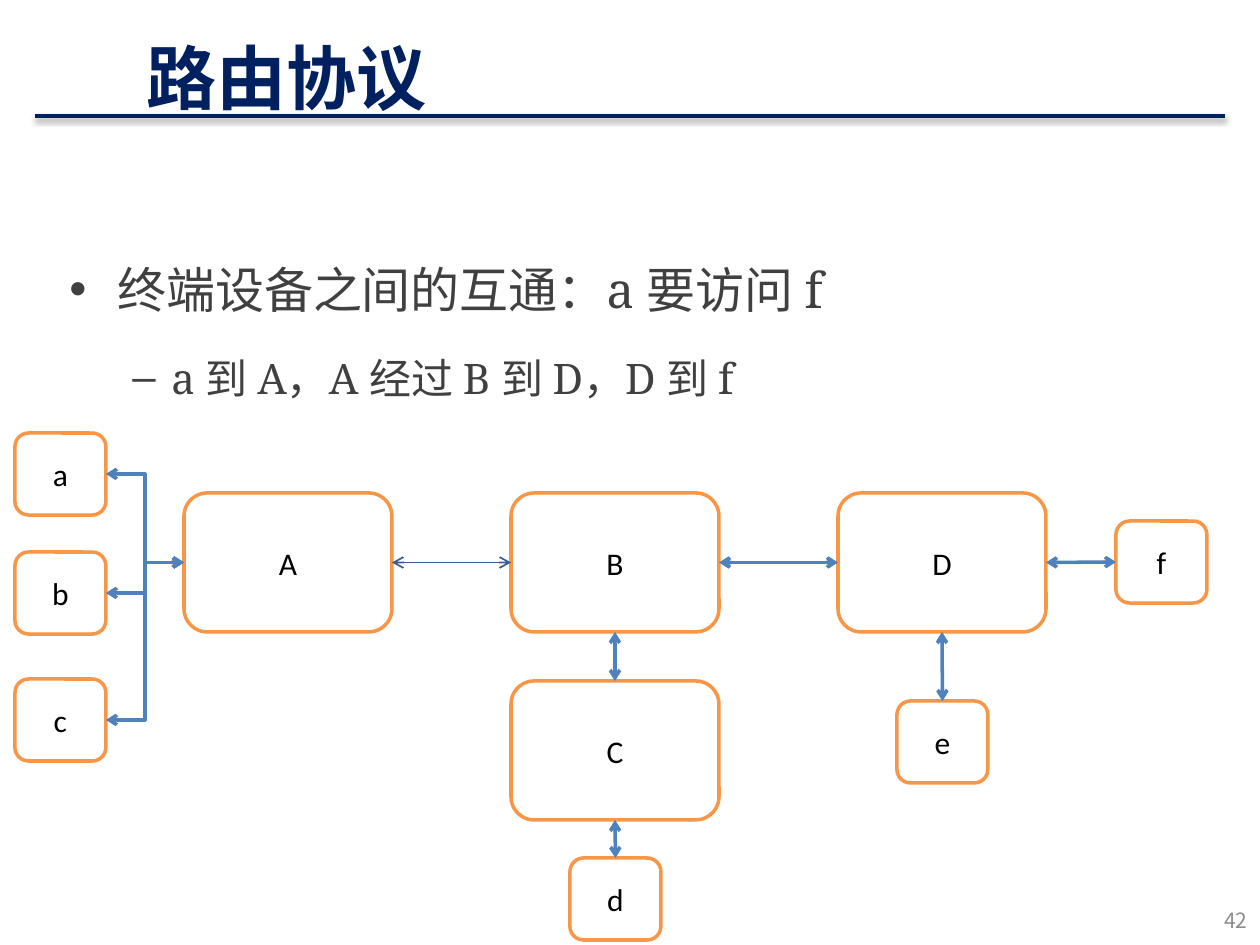
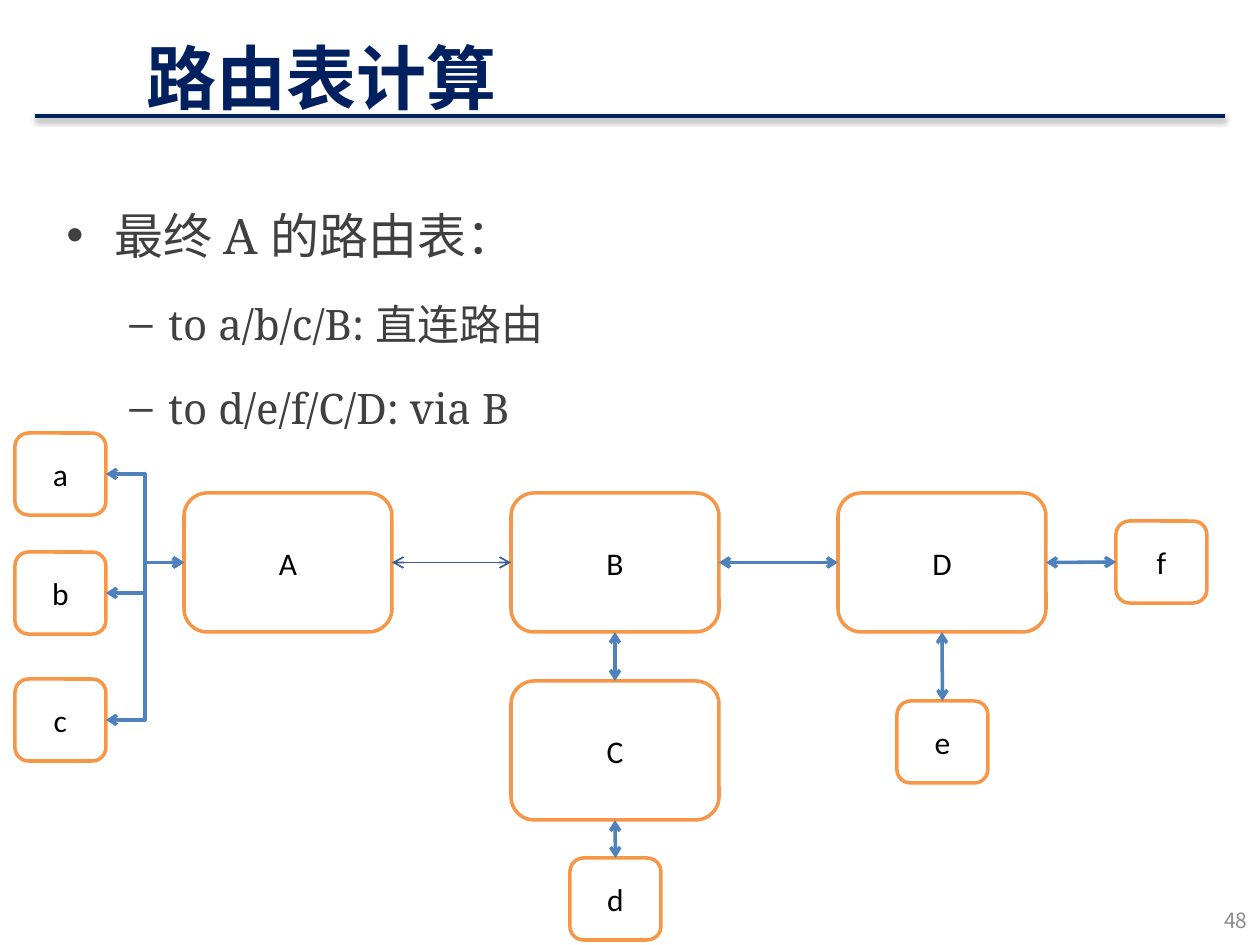
from lxml.etree import SubElement
from pptx import Presentation
from pptx.dml.color import RGBColor
from pptx.enum.shapes import MSO_CONNECTOR, MSO_SHAPE
from pptx.enum.text import MSO_ANCHOR, MSO_AUTO_SIZE, PP_ALIGN
from pptx.oxml.ns import qn
from pptx.util import Emu, Pt

COLORS = {
    "navy": "002060", "body": "404040", "number": "8C8C8C", "black": "000000",
    "white": "FFFFFF", "orange": "F79646", "blue": "4F81BD", "steel": "3A5F8C",
}
CHINESE_FONT = "Noto Sans CJK SC"
LEVELS = [
    {"mark": "•", "margin": 48, "hang": 48, "size": 28},
    {"mark": "–", "margin": 102, "hang": 39, "size": 24},
]
TOP, LEFT, BOTTOM, RIGHT = range(4)
ROUTER_SIZE = (208, 139)
DEVICE_SIZE = (91, 82)
ROUTER_LEFT, ROUTER_TOP, ROUTER_STEP = 184, 493, 327
ROUTERS = {
    "A": (ROUTER_LEFT, ROUTER_TOP),
    "B": (ROUTER_LEFT + ROUTER_STEP, ROUTER_TOP),
    "C": (ROUTER_LEFT + ROUTER_STEP, 681),
    "D": (ROUTER_LEFT + 2 * ROUTER_STEP, ROUTER_TOP),
}
DEVICES = {
    "a": (15, 433), "b": (15, 552), "c": (15, 679),
    "d": (570, 858), "e": (897, 701), "f": (1116, 521),
}
LINKS = [
    ("B", BOTTOM, "C", TOP), ("B", RIGHT, "D", LEFT), ("C", BOTTOM, "d", TOP),
    ("D", BOTTOM, "e", TOP), ("D", RIGHT, "f", LEFT),
]
SLIDES = [
    ("路由协议", "42", (57, 224), [
        (0, "终端设备之间的互通：a 要访问 f"),
        (1, "a 到 A，A 经过 B 到 D，D 到 f"),
    ]),
    ("路由表计算", "48", (54, 170), [
        (0, "最终 A 的路由表："),
        (1, "to a/b/c/B: 直连路由"),
        (1, "to d/e/f/C/D: via B"),
    ]),
]


def px(length):
    """Turn px into EMU at 126 px to the inch."""
    return Emu(round(length * 914400 / 126))


def rgb(name):
    """Look up a named colour."""
    return RGBColor.from_string(COLORS[name])


def write(paragraph, text, font, size, color, bold=False, align=PP_ALIGN.LEFT, spacing=None):
    """Add one formatted run to a paragraph."""
    paragraph.alignment = align
    if spacing:
        paragraph.line_spacing = spacing
    run = paragraph.add_run()
    run.text = text
    run.font.size = Pt(size)
    run.font.bold = bold
    run.font.color.rgb = rgb(color)
    run.font.name = font
    SubElement(run.font._element, qn("a:ea"), typeface=CHINESE_FONT)


class Deck:
    """Hold the shared style and the current slide."""

    def __init__(self):
        """Start an empty presentation."""
        self.presentation = Presentation()
        self.presentation.slide_width = px(1260)
        self.presentation.slide_height = px(945)
        self.slide = None

    def add_slide(self, title, number):
        """Add a slide with its title, rule and number."""
        self.slide = self.presentation.slides.add_slide(self.presentation.slide_layouts[5])
        self.rule()
        self.title(title)
        frame = self.text_box(966, 895, 294, 50, MSO_ANCHOR.MIDDLE)
        write(frame.paragraphs[0], number, font=CHINESE_FONT, size=12, color="number",
              align=PP_ALIGN.RIGHT)

    def title(self, text):
        """Place and fill the title placeholder."""
        shape = self.slide.shapes.title
        shape.left, shape.top, shape.width, shape.height = map(px, (134, 6, 1040, 100))
        frame = shape.text_frame
        frame.word_wrap = True
        frame.auto_size = MSO_AUTO_SIZE.NONE
        frame.vertical_anchor = MSO_ANCHOR.MIDDLE
        write(frame.paragraphs[0], text, font="Comic Neue", size=40, color="navy",
              bold=True, spacing=1.5)

    def text_box(self, left, top, width, height, anchor=MSO_ANCHOR.TOP):
        """Add a wrapping text box and return its frame."""
        shape = self.slide.shapes.add_textbox(*map(px, (left, top, width, height)))
        frame = shape.text_frame
        frame.word_wrap = True
        frame.vertical_anchor = anchor
        return frame

    def line(self, start, end, color, width, kind=MSO_CONNECTOR.STRAIGHT):
        """Add a line and return it with its effect list."""
        connector = self.slide.shapes.add_connector(kind, *map(px, start + end))
        connector.line.color.rgb = rgb(color)
        connector.line.width = Pt(width)
        effects = SubElement(connector.element.spPr, qn("a:effectLst"))
        return connector, effects

    def rule(self):
        """Draw the shadowed rule below the title."""
        effects = self.line((35, 116), (1225, 116), "navy", 2.5)[1]
        shadow = SubElement(effects, qn("a:outerShdw"), blurRad=str(Pt(3.1)),
                            dist=str(Pt(1.8)), dir="5400000", rotWithShape="0")
        color = SubElement(shadow, qn("a:srgbClr"), val=COLORS["black"])
        SubElement(color, qn("a:alpha"), val="35000")

    def bullets(self, left, top, items):
        """Write the two-level bullet list."""
        frame = self.text_box(left, top, 1134, 624)
        for index, (depth, text) in enumerate(items):
            paragraph = frame.add_paragraph() if index else frame.paragraphs[0]
            level = LEVELS[depth]
            paragraph.level = depth
            paragraph.line_spacing = 1.5
            properties = paragraph._p.get_or_add_pPr()
            properties.set("marL", str(px(level["margin"])))
            properties.set("indent", str(-px(level["hang"])))
            if index:
                before = SubElement(properties, qn("a:spcBef"))
                SubElement(before, qn("a:spcPct"), val="20000")
            SubElement(properties, qn("a:buFont"), typeface="Arial")
            SubElement(properties, qn("a:buChar"), char=level["mark"])
            write(paragraph, text, font="Noto Serif", size=level["size"], color="body")

    def node(self, label, position, size):
        """Add a labelled rounded box."""
        shape = self.slide.shapes.add_shape(MSO_SHAPE.ROUNDED_RECTANGLE,
                                            *map(px, position + size))
        shape.shadow.inherit = False
        shape.fill.solid()
        shape.fill.fore_color.rgb = rgb("white")
        shape.line.color.rgb = rgb("orange")
        shape.line.width = Pt(2)
        shape.text_frame.vertical_anchor = MSO_ANCHOR.MIDDLE
        write(shape.text_frame.paragraphs[0], label, font="Calibri", size=18, color="black",
              align=PP_ALIGN.CENTER)
        return shape

    def link(self, first, first_side, second, second_side, color="blue", width=2,
             kind=MSO_CONNECTOR.STRAIGHT):
        """Join two boxes with a double-headed arrow."""
        connector = self.line((0, 0), (0, 0), color, width, kind)[0]
        connector.begin_connect(first, first_side)
        connector.end_connect(second, second_side)
        outline = connector.element.spPr.find(qn("a:ln"))
        for end in ("a:headEnd", "a:tailEnd"):
            SubElement(outline, qn(end), type="arrow")

    def network(self):
        """Draw the routers, the devices and their links."""
        nodes = {name: self.node(name, place, ROUTER_SIZE) for name, place in ROUTERS.items()}
        nodes |= {name: self.node(name, place, DEVICE_SIZE) for name, place in DEVICES.items()}
        self.link(nodes["A"], RIGHT, nodes["B"], LEFT, color="steel", width=1)
        for first, first_side, second, second_side in LINKS:
            self.link(nodes[first], first_side, nodes[second], second_side)
        for device in "abc":
            self.link(nodes[device], RIGHT, nodes["A"], LEFT, kind=MSO_CONNECTOR.ELBOW)


def main():
    """Build and save the slides."""
    deck = Deck()
    for title, number, (left, top), items in SLIDES:
        deck.add_slide(title, number)
        deck.bullets(left, top, items)
        deck.network()
    deck.presentation.save("out.pptx")


if __name__ == "__main__":
    main()
